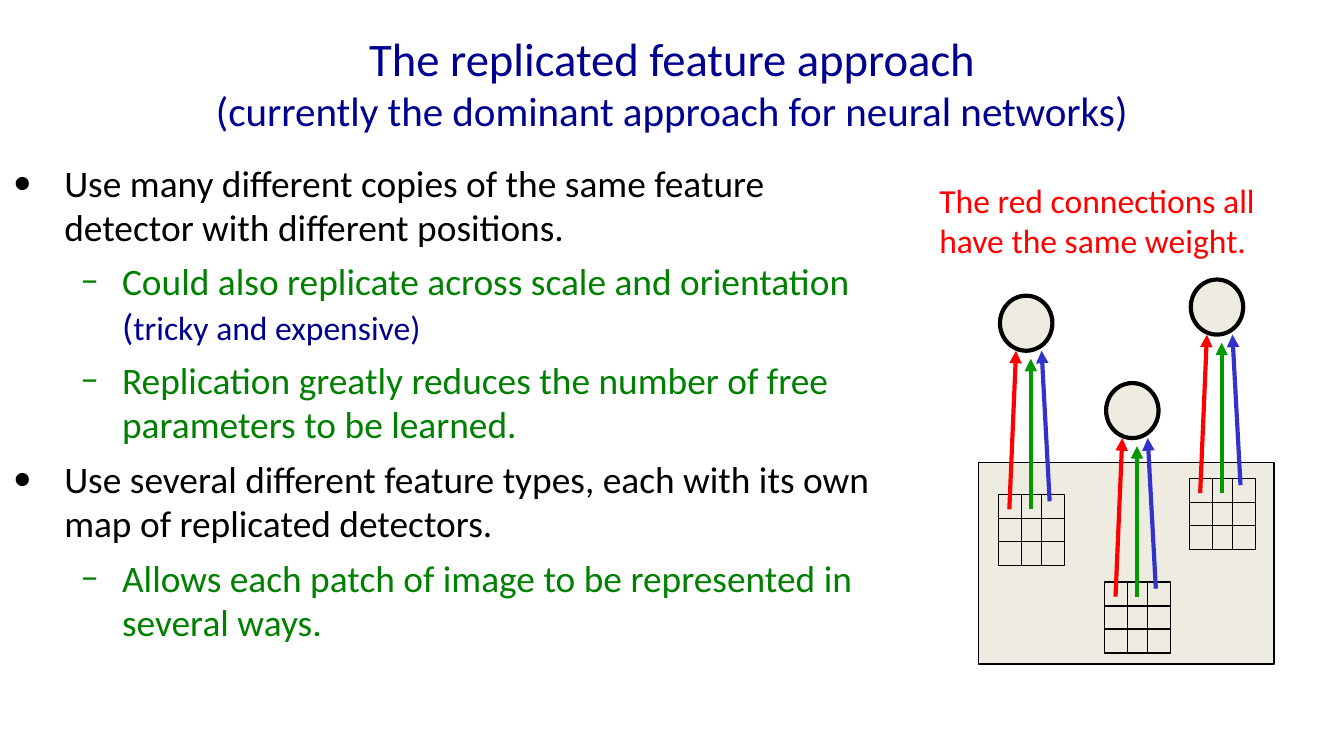
from lxml.etree import SubElement
from pptx import Presentation
from pptx.dml.color import RGBColor
from pptx.enum.shapes import MSO_CONNECTOR, MSO_SHAPE
from pptx.enum.text import MSO_ANCHOR, PP_ALIGN
from pptx.oxml.ns import qn
from pptx.util import Inches, Pt

FONT = "Calibri"
NAVY, GREEN, BLACK, RED, BEIGE = "000090", "008000", "000000", "FF0000", "EEECE1"

# A paragraph is a list of runs: (text, size, colour)
TITLE = [[("The replicated feature approach\v", 25, NAVY),
          ("(currently the dominant approach for neural networks)", 22, NAVY)]]
CAPTION = [[("The red connections all have the same weight.", 18, RED)]]
BULLETS = [  # level, space before, runs
    (0, 0, [("Use many different copies of the same feature detector "
             "with different positions.", 20, BLACK)]),
    (1, 4.5, [("Could also replicate across scale and orientation ", 20, GREEN),
              ("(", 20, NAVY), ("tricky and expensive)", 18, NAVY)]),
    (1, 5, [("Replication greatly reduces the number of free parameters "
             "to be learned.", 20, GREEN)]),
    (0, 5, [("Use several different feature types, each with its own map "
             "of replicated detectors.", 20, BLACK)]),
    (1, 5, [("Allows each patch of image to be represented in several ways.", 20, GREEN)]),
]
LEVELS = [("•", BLACK, 0.38, 0.38), ("–", GREEN, 0.81, 0.31)]  # mark, colour, margin, hang

IMAGE_AREA = (7.28, 3.44, 2.2, 1.5)
DETECTORS = [(7.43, 3.68), (8.85, 3.56), (8.22, 4.33)]  # top left of each pixel grid
PIXEL_COLUMNS, PIXEL_ROWS = (0, 0.17, 0.32), (0, 0.17, 0.35)
PIXEL_SIZE = (0.17, 0.18)
UNIT = (0.01, -1.48, 0.39, 0.41)  # relative to the grid
CONNECTIONS = [  # colour, start and end relative to the grid
    (RED, (0.08, 0.11), (0.13, -1.07)),
    ("009900", (0.24, 0.11), (0.24, -1.01)),
    ("3333CC", (0.38, 0.05), (0.32, -1.07)),
]


def rgb(colour):
    return RGBColor.from_string(colour)


def add_text(slide, paragraphs, box, align=PP_ALIGN.LEFT, anchor=MSO_ANCHOR.TOP):
    shape = slide.shapes.add_textbox(*map(Inches, box))
    frame = shape.text_frame
    frame.word_wrap = True
    frame.vertical_anchor = anchor
    for index, runs in enumerate(paragraphs):
        paragraph = frame.add_paragraph() if index else frame.paragraphs[0]
        paragraph.alignment = align
        for text, size, colour in runs:
            run = paragraph.add_run()
            run.text = text.rstrip("\v")
            run.font.name = FONT
            run.font.size = Pt(size)
            run.font.color.rgb = rgb(colour)
            if text.endswith("\v"):
                paragraph.add_line_break()
    return frame


def set_bullet(paragraph, level, space_before):
    mark, colour, margin, hang = LEVELS[level]
    paragraph.level = level
    properties = paragraph._p.get_or_add_pPr()
    properties.set("marL", str(Inches(margin)))
    properties.set("indent", str(-Inches(hang)))
    bullet_colour = SubElement(properties, qn("a:buClr"))
    SubElement(bullet_colour, qn("a:srgbClr"), val=colour)
    SubElement(properties, qn("a:buFont"), typeface=FONT)
    SubElement(properties, qn("a:buChar"), char=mark)
    paragraph.space_before = Pt(space_before)


def add_outlined(slide, kind, box, width=0.75):
    shape = slide.shapes.add_shape(kind, *map(Inches, box))
    shape.shadow.inherit = False
    shape.fill.solid()
    shape.fill.fore_color.rgb = rgb(BEIGE)
    shape.line.color.rgb = rgb(BLACK)
    shape.line.width = Pt(width)


def add_arrow(slide, start, end, colour):
    arrow = slide.shapes.add_connector(MSO_CONNECTOR.STRAIGHT, *map(Inches, start + end))
    arrow.line.color.rgb = rgb(colour)
    arrow.line.width = Pt(2.25)
    SubElement(arrow.line._get_or_add_ln(), qn("a:tailEnd"), type="triangle")
    SubElement(arrow._element.spPr, qn("a:effectLst"))


def add_detector(slide, left, top):
    """Draw one pixel grid, its unit and the three connections between them."""
    for row in reversed(PIXEL_ROWS):
        for column in PIXEL_COLUMNS:
            add_outlined(slide, MSO_SHAPE.RECTANGLE, (left + column, top + row) + PIXEL_SIZE)
    x, y, width, height = UNIT
    add_outlined(slide, MSO_SHAPE.OVAL, (left + x, top + y, width, height), width=2.25)
    for colour, (x1, y1), (x2, y2) in CONNECTIONS:
        add_arrow(slide, (left + x1, top + y1), (left + x2, top + y2), colour)


def main():
    presentation = Presentation()
    presentation.slide_width = Inches(10)
    presentation.slide_height = Inches(10 * 9 / 16)
    slide = presentation.slides.add_slide(presentation.slide_layouts[6])

    add_text(slide, TITLE, (0.5, 0.14, 9, 0.94), align=PP_ALIGN.CENTER,
             anchor=MSO_ANCHOR.MIDDLE)
    body = add_text(slide, [runs for _, _, runs in BULLETS], (0, 1.14, 6.81, 4.04))
    for paragraph, (level, space_before, _) in zip(body.paragraphs, BULLETS):
        set_bullet(paragraph, level, space_before)

    add_outlined(slide, MSO_SHAPE.RECTANGLE, IMAGE_AREA)
    for left, top in DETECTORS:
        add_detector(slide, left, top)
    add_text(slide, CAPTION, (6.89, 1.29, 2.99, 0.7))
    presentation.save("out.pptx")


if __name__ == "__main__":
    main()
